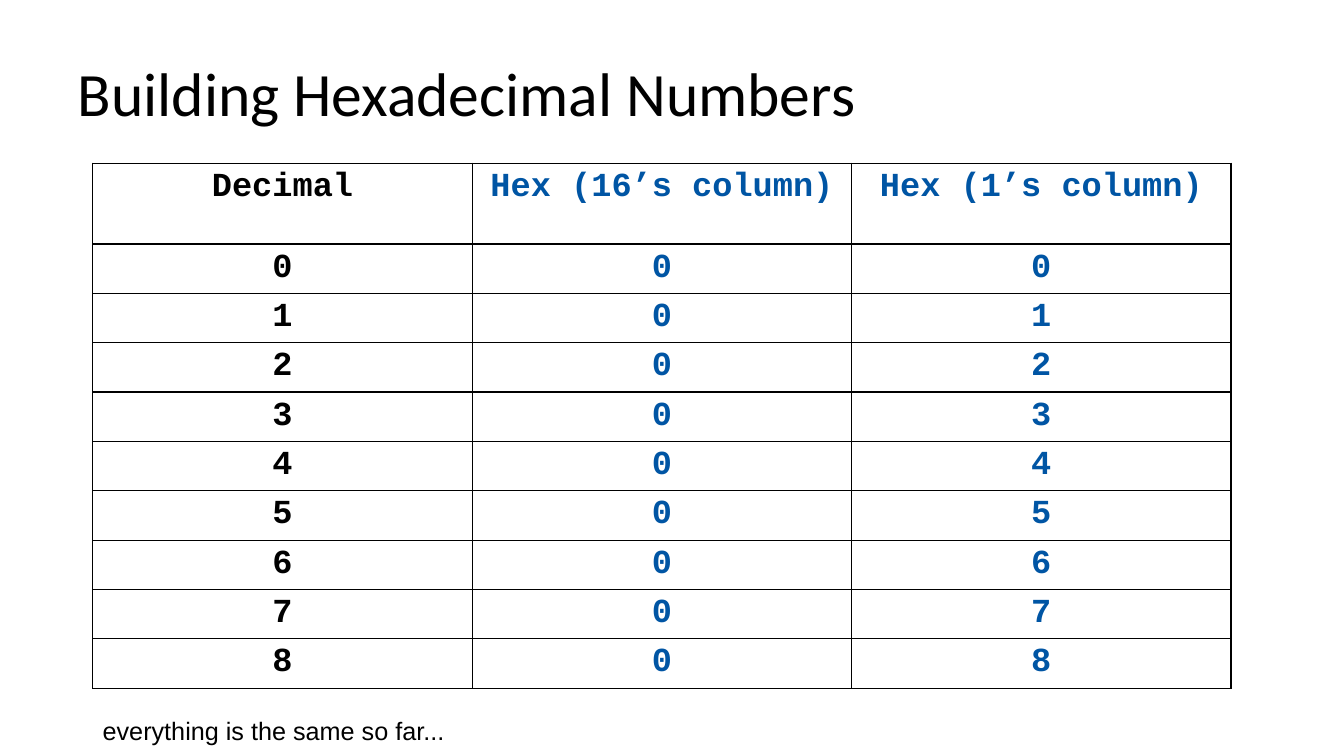
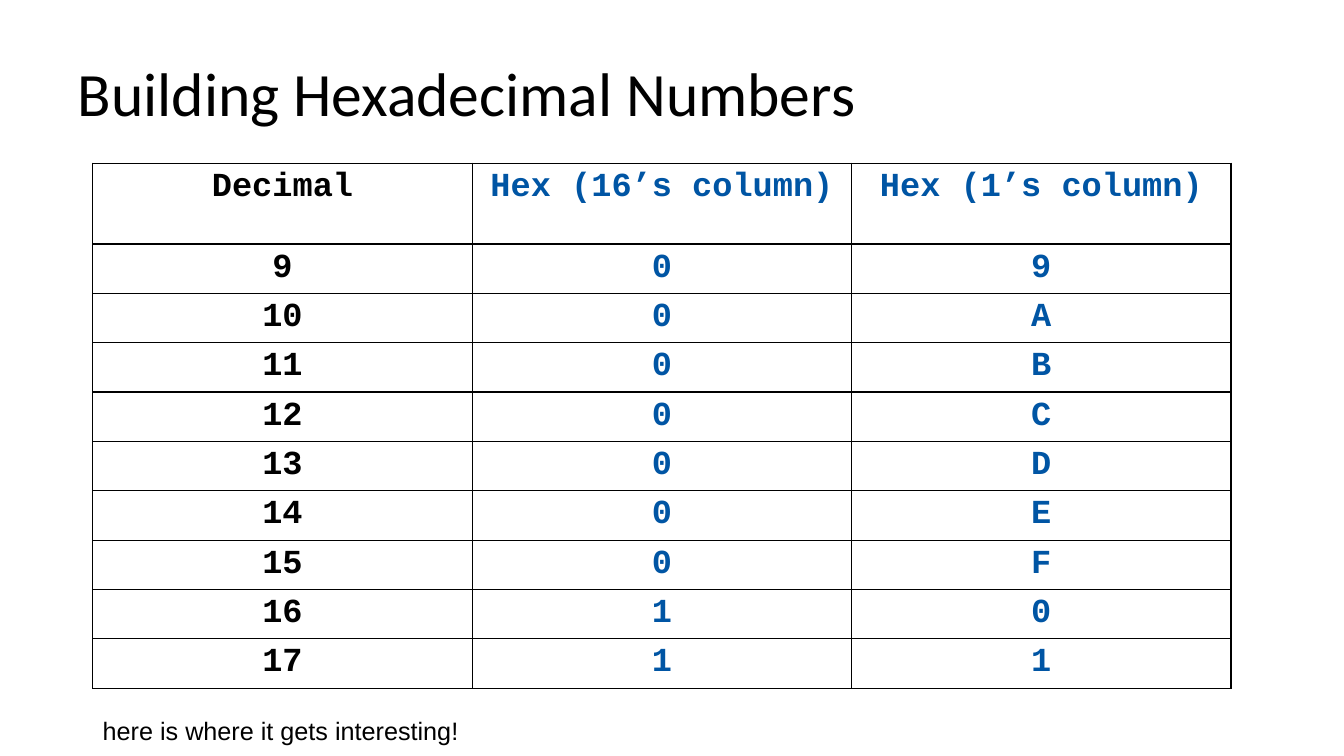
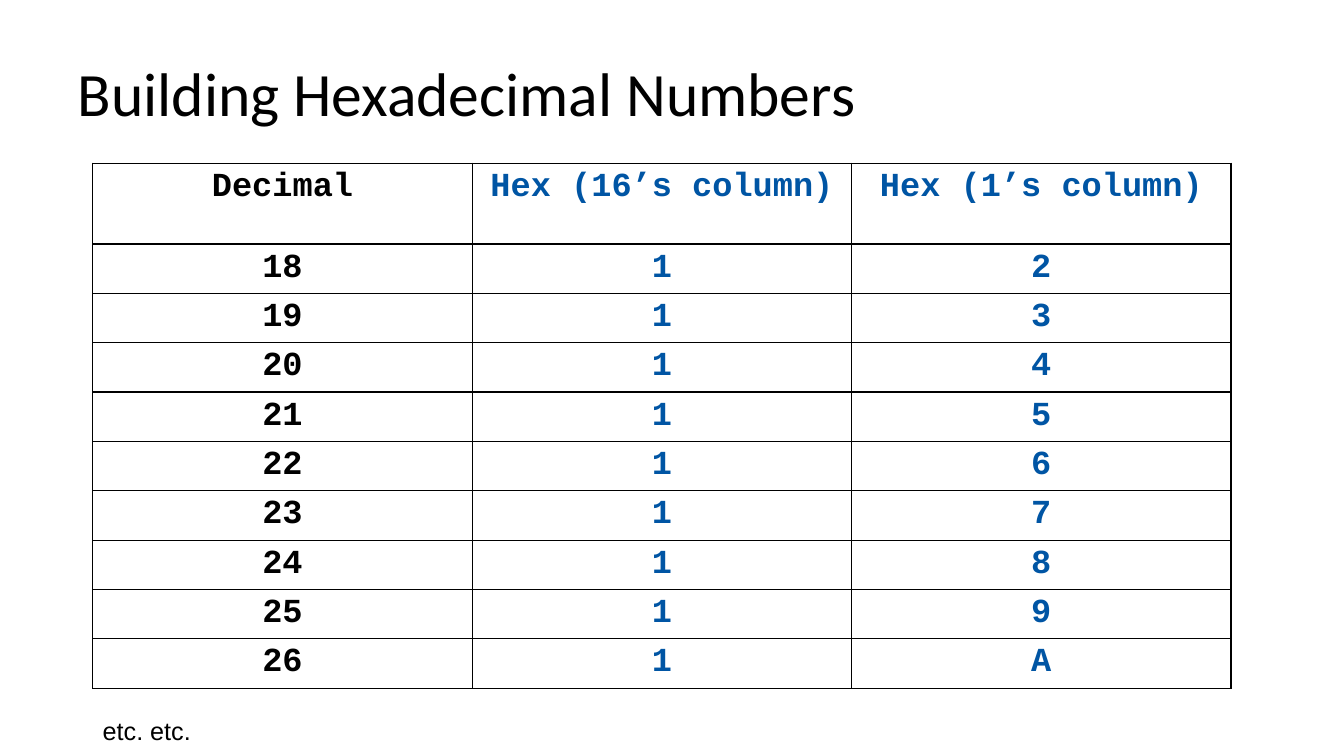
from dataclasses import dataclass

from lxml import etree
from pptx import Presentation
from pptx.dml.color import RGBColor
from pptx.enum.text import MSO_ANCHOR, MSO_AUTO_SIZE, PP_ALIGN
from pptx.oxml.ns import qn
from pptx.util import Inches, Pt

BOTTOM = MSO_ANCHOR.BOTTOM
GROW = MSO_AUTO_SIZE.SHAPE_TO_FIT_TEXT
LEFT, CENTER = PP_ALIGN.LEFT, PP_ALIGN.CENTER


@dataclass(frozen=True)
class Theme:
    black: RGBColor = RGBColor(0x00, 0x00, 0x00)
    blue: RGBColor = RGBColor(0x00, 0x55, 0xA4)
    title_font: str = "Calibri"
    table_font: str = "Courier New"
    note_font: str = "Arial"
    title_size: int = 44
    table_size: int = 24
    note_size: int = 18
    border_width: int = 1


THEME = Theme()
TITLE = "Building Hexadecimal Numbers"
HEADERS = ["Decimal", "Hex (16’s column)", "Hex (1’s column)"]
NOTES = [
    "everything is the same so far...",
    "here is where it gets interesting!",
    "etc. etc.",
]
NUMBERS_PER_SLIDE = 9
TABLE_LEFT, TABLE_TOP, TABLE_WIDTH = 0.92, 1.62, 11.29
HEADER_HEIGHT, ROW_HEIGHT = 0.8, 0.49


def style_paragraph(p, font, size, color, align=LEFT, bold=False):
    p.alignment = align
    for r in p.runs:
        r.font.name = font
        r.font.size = Pt(size)
        r.font.color.rgb = color
        r.font.bold = bold


def add_borders(cell):
    tc_pr = cell._tc.get_or_add_tcPr()
    for i, side in enumerate(("lnL", "lnR", "lnT", "lnB")):
        ln = etree.Element(qn(f"a:{side}"), w=str(Pt(THEME.border_width)))
        fill = etree.SubElement(ln, qn("a:solidFill"))
        etree.SubElement(fill, qn("a:srgbClr"), val=str(THEME.black))
        tc_pr.insert(i, ln)


prs = Presentation()
prs.slide_width = Inches(13.33)
prs.slide_height = Inches(7.5)

# Shared title position
layout = prs.slide_layouts[5]
title = layout.placeholders[0]
title.left, title.top = Inches(0.67), Inches(0)
title.width, title.height = Inches(11.75), Inches(1.34)
title.text_frame.vertical_anchor = BOTTOM

for page, note in enumerate(NOTES):
    s = prs.slides.add_slide(layout)

    # Title
    s.shapes.title.text_frame.text = TITLE
    p = s.shapes.title.text_frame.paragraphs[0]
    p.line_spacing = 0.9
    style_paragraph(p, THEME.title_font, THEME.title_size, THEME.black)

    # Number table: each decimal with its two hexadecimal digits
    start = page * NUMBERS_PER_SLIDE
    rows = [HEADERS] + [
        [str(n), f"{n // 16:X}", f"{n % 16:X}"]
        for n in range(start, start + NUMBERS_PER_SLIDE)
    ]
    table = s.shapes.add_table(
        len(rows), len(HEADERS), Inches(TABLE_LEFT), Inches(TABLE_TOP),
        Inches(TABLE_WIDTH), Inches(HEADER_HEIGHT + NUMBERS_PER_SLIDE * ROW_HEIGHT),
    ).table
    table.first_row = False
    table.horz_banding = False
    for i, values in enumerate(rows):
        table.rows[i].height = Inches(ROW_HEIGHT if i else HEADER_HEIGHT)
        for j, value in enumerate(values):
            cell = table.cell(i, j)
            cell.text_frame.text = value
            cell.fill.background()
            add_borders(cell)
            style_paragraph(
                cell.text_frame.paragraphs[0], THEME.table_font, THEME.table_size,
                THEME.blue if j else THEME.black, CENTER, bold=True,
            )

    # Note under the table
    tf = s.shapes.add_textbox(
        Inches(TABLE_LEFT), Inches(7), Inches(5.84), Inches(0.44)
    ).text_frame
    tf.word_wrap = True
    tf.auto_size = GROW
    tf.margin_top = tf.margin_bottom = Inches(0.1)
    tf.text = note
    style_paragraph(tf.paragraphs[0], THEME.note_font, THEME.note_size, THEME.black)

prs.save("out.pptx")
